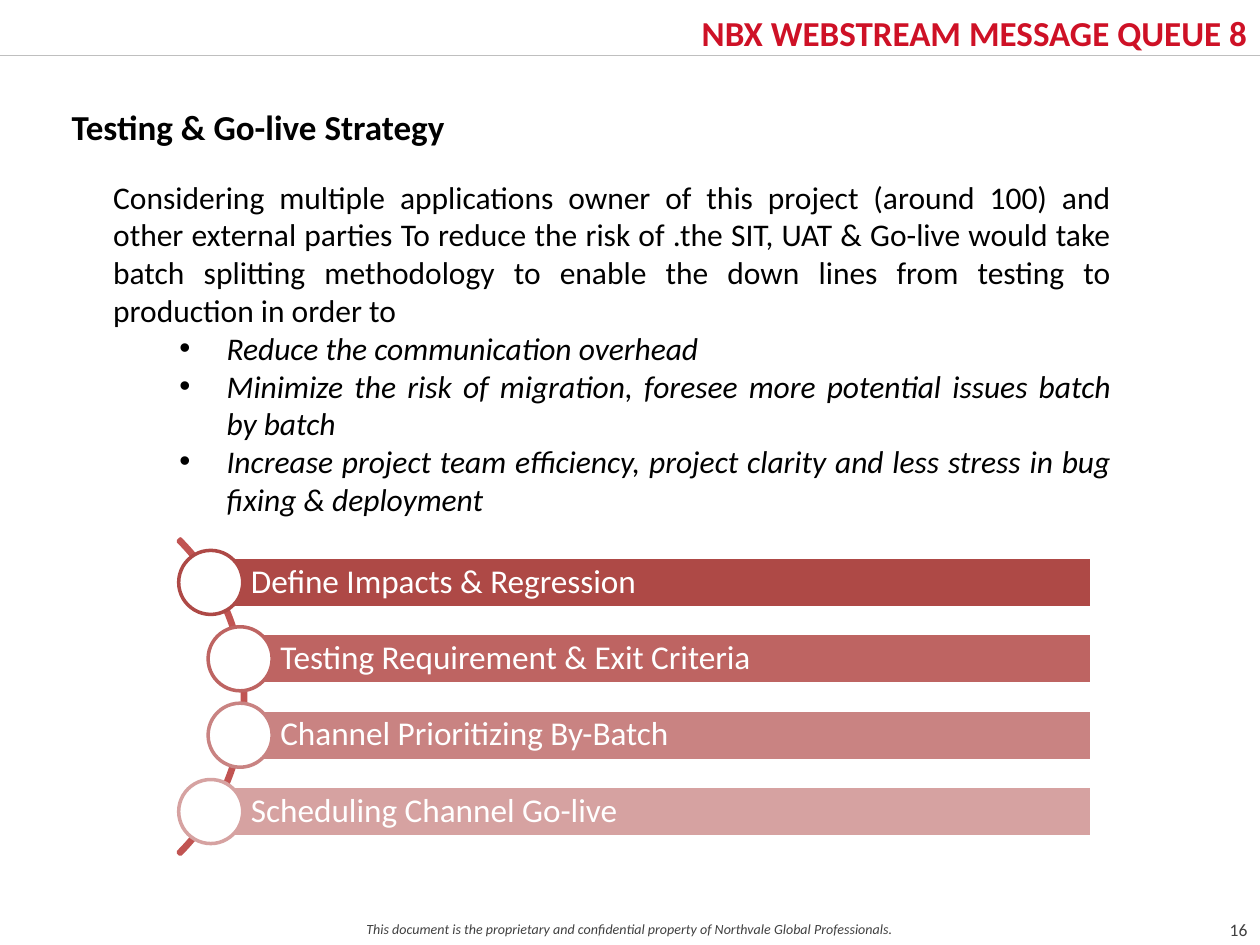
from pptx import Presentation
from pptx.dml.color import RGBColor
from pptx.enum.shapes import MSO_CONNECTOR as CONN, MSO_SHAPE as SHAPE
from pptx.enum.text import MSO_ANCHOR as ANCHOR, MSO_AUTO_SIZE as FIT, PP_ALIGN as ALIGN
from pptx.oxml.ns import qn
from pptx.util import Pt
from lxml.etree import SubElement

THEME = {
    "font": "Calibri",
    "brand": "CE1126", "ink": "000000", "muted": "404040", "rule": "BFBFBF",
    "white": "FFFFFF", "arc": "C15452",
    "steps": ["AE4946", "BE6462", "C98382", "D6A2A1"],
    "heading": 20, "body": 18, "step": 19, "number": 10, "footer": 8,
}


def write(sp, lines, size, color, align, anchor=ANCHOR.TOP, margins=(7.2, 3.6, 7.2, 3.6), **font):
    """Fill a shape with paragraphs in one style; margins run left, top, right, bottom."""
    tf = sp.text_frame
    frame = dict(zip(("margin_left", "margin_top", "margin_right", "margin_bottom"), map(Pt, margins)))
    frame.update(word_wrap=True, auto_size=FIT.NONE, vertical_anchor=anchor)
    for name, value in frame.items():
        setattr(tf, name, value)
    for i, line in enumerate(lines):
        p = tf.paragraphs[0] if i == 0 else tf.add_paragraph()
        p.alignment = align
        r = p.add_run()
        r.text = line
        for name, value in dict(name=THEME["font"], size=Pt(THEME[size]), **font).items():
            setattr(r.font, name, value)
        r.font.color.rgb = RGBColor.from_string(THEME[color])
    return tf.paragraphs


def add_shape(kind, x, y, w, h, fill, line):
    sp = s.shapes.add_shape(kind, Pt(x), Pt(y), Pt(w), Pt(h))
    sp.shadow.inherit = False
    if fill:
        sp.fill.solid()
        sp.fill.fore_color.rgb = RGBColor.from_string(fill)
    else:
        sp.fill.background()
    sp.line.color.rgb = RGBColor.from_string(line)
    sp.line.width = Pt(2)
    return sp


prs = Presentation()
prs.slide_width, prs.slide_height = Pt(720), Pt(540)
s = prs.slides.add_slide(prs.slide_layouts[5])

# Header and footer
title = s.shapes.title
title.left, title.top, title.width, title.height = Pt(288.7), Pt(1.4), Pt(431.3), Pt(30.2)
write(title, ["NBX WEBSTREAM MESSAGE QUEUE 8"], "heading", "brand", ALIGN.RIGHT,
      margins=(0, 5, 7.2, 5), bold=True)

rule = s.shapes.add_connector(CONN.STRAIGHT, Pt(0), Pt(31.7), Pt(720), Pt(31.7))
rule.line.color.rgb = RGBColor.from_string(THEME["rule"])
rule.line.width = Pt(0.5)
SubElement(rule._element.spPr, qn("a:effectLst"))

footer = s.shapes.add_textbox(Pt(0), Pt(522.7), Pt(720), Pt(17.3))
write(footer, ["This document is the proprietary and confidential property of Northvale Global Professionals."],
      "footer", "muted", ALIGN.CENTER, italic=True)
number = s.shapes.add_textbox(Pt(691.2), Pt(515.5), Pt(33.1), Pt(31))
write(number, ["16"], "number", "muted", ALIGN.CENTER, ANCHOR.MIDDLE)

# Strategy text
heading = s.shapes.add_textbox(Pt(33.8), Pt(56.9), Pt(649.4), Pt(31.7))
write(heading, ["Testing & Go-live Strategy"], "heading", "ink", ALIGN.JUSTIFY, bold=True)

body = s.shapes.add_textbox(Pt(57.6), Pt(97.9), Pt(584.6), Pt(206))
intro = ("Considering multiple applications owner of this project (around 100) and other external "
         "parties To reduce the risk of .the SIT, UAT & Go-live would take batch splitting methodology "
         "to enable the down lines from testing to production in order to")
goals = [
    "Reduce the communication overhead",
    "Minimize the risk of migration, foresee more potential issues batch by batch",
    "Increase project team efficiency, project clarity and less stress in bug fixing & deployment",
]
for p in write(body, [intro, *goals], "body", "ink", ALIGN.JUSTIFY)[1:]:
    p.level = 1
    pPr = p._p.get_or_add_pPr()
    pPr.set("marL", str(Pt(64.8)))
    pPr.set("indent", str(Pt(-27)))
    SubElement(pPr, qn("a:buFont"), typeface="Arial")
    SubElement(pPr, qn("a:buChar"), char="•")
    p.runs[0].font.italic = True

# Steps along the arc
arc = add_shape(SHAPE.BLOCK_ARC, -114.5, 270.7, 254.9, 254.9, None, THEME["arc"])
for i, value in enumerate((189, 27, 0.007)):
    arc.adjustments[i] = value

steps = ["Define Impacts & Regression", "Testing Requirement & Exit Criteria",
         "Channel Prioritizing By-Batch", "Scheduling Channel Go-live"]
BAR_H, DOT, RIGHT = 28.8, 36.6, 623.7
FIRST_Y, PITCH = 332.8, 43.65
for i, (step, color) in enumerate(zip(steps, THEME["steps"])):
    x = 120.4 if i in (0, len(steps) - 1) else 137.2
    y = FIRST_Y + i * PITCH
    bar = add_shape(SHAPE.RECTANGLE, x, y - BAR_H / 2, RIGHT - x, BAR_H, color, THEME["white"])
    p = write(bar, [step], "step", "white", ALIGN.LEFT, ANCHOR.MIDDLE, (23, 3.6, 3.6, 3.6))[0]
    p.line_spacing = 0.9
    add_shape(SHAPE.OVAL, x - DOT / 2, y - DOT / 2, DOT, DOT, THEME["white"], color)

prs.save("out.pptx")
